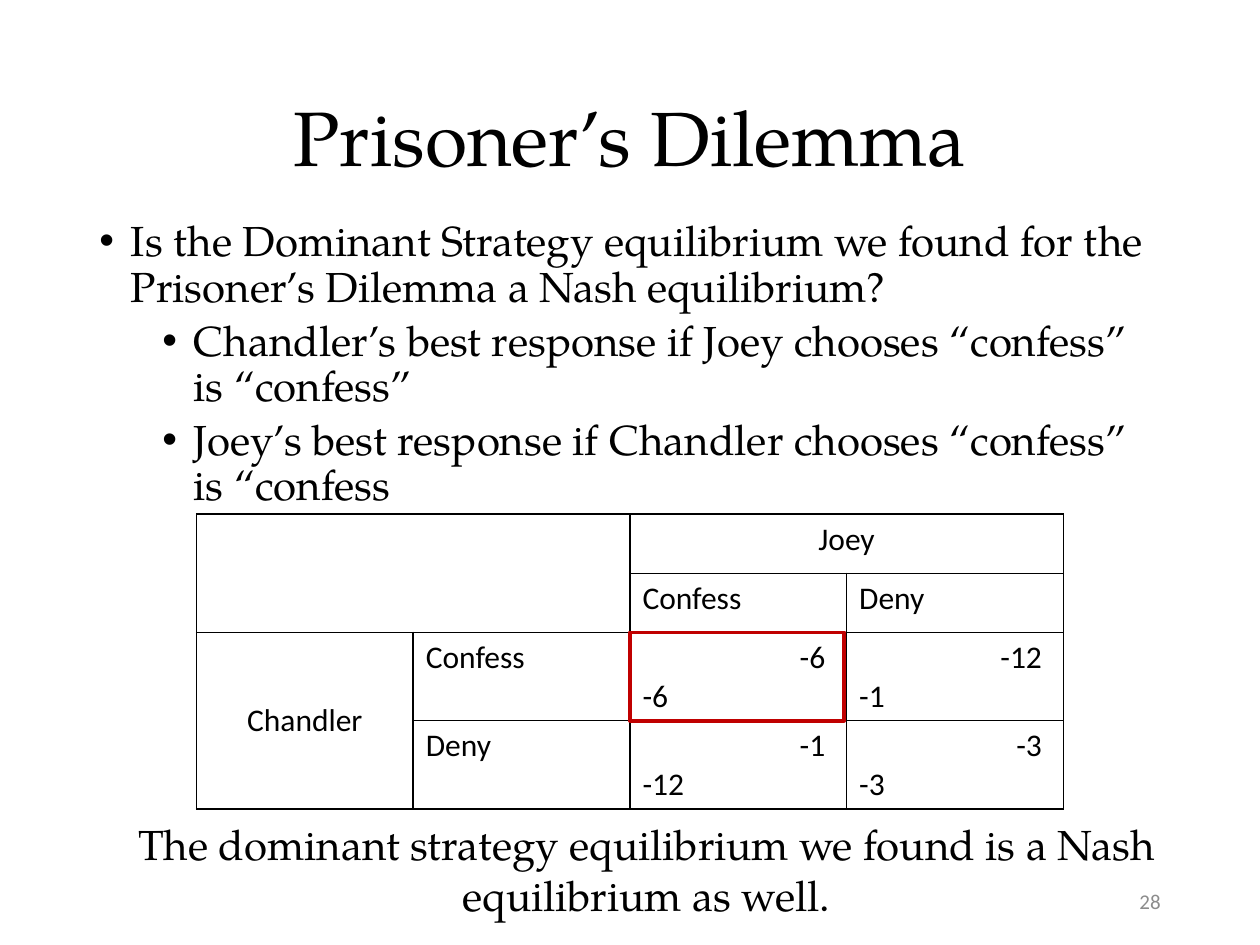
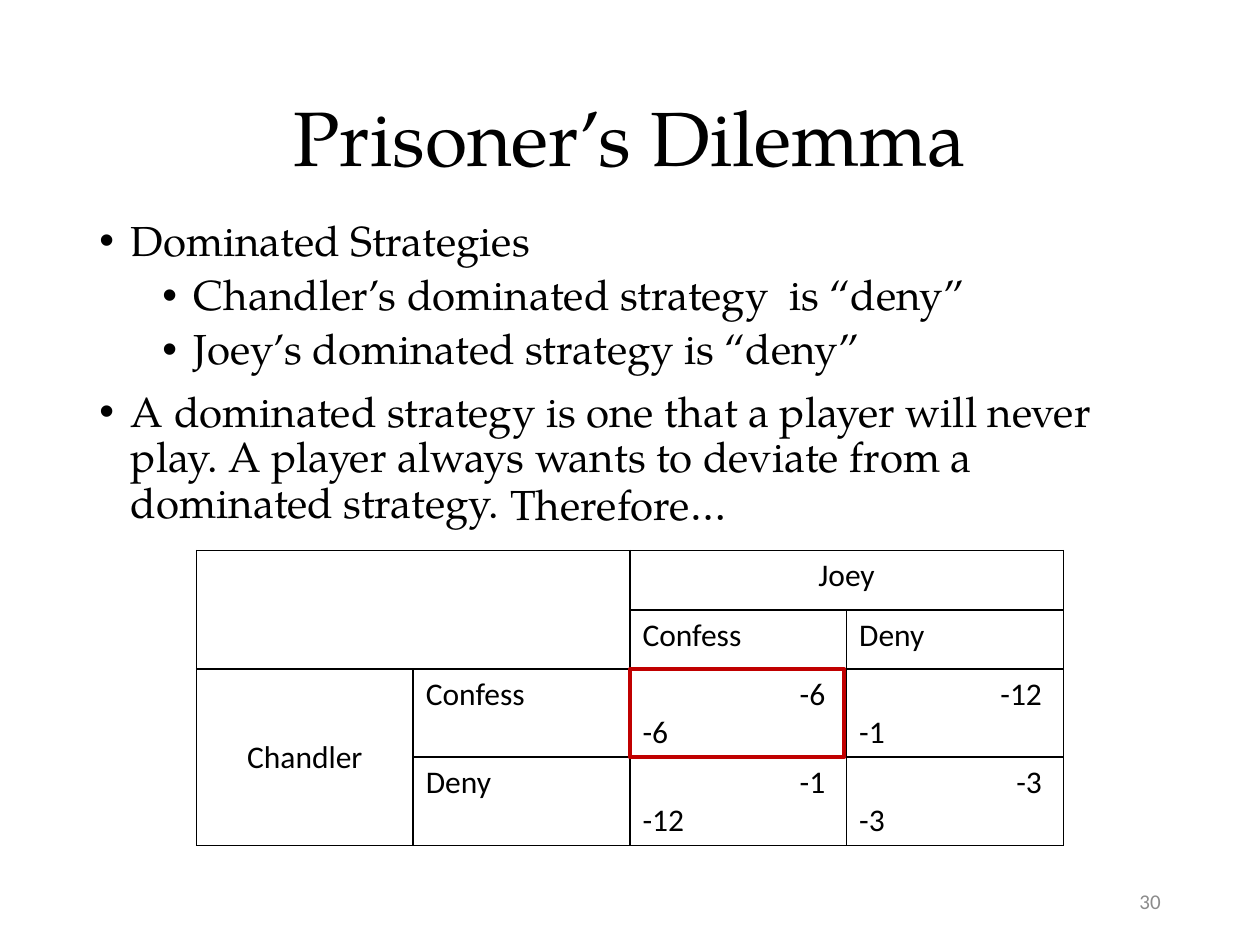
from pptx import Presentation
from pptx.dml.color import RGBColor
from pptx.enum.shapes import MSO_SHAPE as SHAPE
from pptx.enum.text import MSO_ANCHOR as ANCHOR, PP_ALIGN as ALIGN
from pptx.oxml.ns import qn
from pptx.util import Inches, Pt
from lxml.etree import SubElement

SERIF = "TeX Gyre Pagella"
SANS = "Calibri"
BLACK, RED, GREY = "000000", "C00000", "8C8C8C"
COL_WIDTH = 1.72
ROW_HEIGHTS = [0.47, 0.47, 0.67, 0.67]
MERGES = [((0, 0), (1, 1)), ((0, 2), (0, 3)), ((2, 0), (3, 0))]
LABELS = {
    (0, 2): "Joey",
    (1, 2): "Confess",
    (1, 3): "Deny",
    (2, 0): "Chandler",
    (2, 1): "Confess",
    (3, 1): "Deny",
}
PAYOFFS = {
    (2, 2): ("-6", "-6"),
    (2, 3): ("-12", "-1"),
    (3, 2): ("-1", "-12"),
    (3, 3): ("-3", "-3"),
}


def color(value):
    return RGBColor.from_string(value)


class Deck:
    def __init__(self):
        self.prs = Presentation()
        self.prs.slide_width = Inches(10)
        self.prs.slide_height = Inches(7.5)
        self.s = None

    def slide(self, number):
        self.s = self.prs.slides.add_slide(self.prs.slide_layouts[6])
        self.text("Prisoner’s Dilemma", (0.69, 0.4, 8.62, 1.45), size=44,
                  align=ALIGN.CENTER, anchor=ANCHOR.MIDDLE, line_spacing=0.9)
        self.text(number, (7.06, 6.95, 2.25, 0.4), size=12, font=SANS,
                  fill=GREY, align=ALIGN.RIGHT, anchor=ANCHOR.MIDDLE)

    def frame(self, box, anchor=ANCHOR.TOP):
        tf = self.s.shapes.add_textbox(*map(Inches, box)).text_frame
        tf.word_wrap = True
        tf.vertical_anchor = anchor
        return tf

    def add_text(self, p, text, size=24, font=SERIF, fill=BLACK, **formats):
        r = p.add_run()
        r.text = text
        r.font.color.rgb = color(fill)
        for name, value in {"size": Pt(size), "name": font}.items():
            setattr(r.font, name, value)
        for name, value in formats.items():
            setattr(p, name, value)

    def text(self, text, box, align=ALIGN.LEFT, anchor=ANCHOR.TOP, **formats):
        tf = self.frame(box, anchor)
        self.add_text(tf.paragraphs[0], text, alignment=align, **formats)

    def bullets(self, items):
        tf = self.frame((0.69, 1.7, 8.62, 4.76))
        for i, (level, text) in enumerate(items):
            p = tf.add_paragraph() if i else tf.paragraphs[0]
            pPr = p._p.get_or_add_pPr()
            pPr.set("marL", str(Inches(0.25 + 0.5 * level)))
            pPr.set("indent", str(Inches(-0.25)))
            SubElement(pPr, qn("a:buFont"), typeface="Arial")
            SubElement(pPr, qn("a:buChar"), char="•")
            before = (5 if level else 10) if i else 0
            self.add_text(p, text, level=level, line_spacing=0.9,
                          space_before=Pt(before))

    def border(self, cell):
        tcPr = cell._tc.get_or_add_tcPr()
        for side in "LRTB":
            ln = SubElement(tcPr, qn(f"a:ln{side}"), w=str(Pt(1)))
            fill = SubElement(ln, qn("a:solidFill"))
            SubElement(fill, qn("a:srgbClr"), val=BLACK)
        cell.fill.background()

    def payoff_table(self, top):
        left, rows, cols = 1.56, len(ROW_HEIGHTS), 4
        box = (left, top, cols * COL_WIDTH, sum(ROW_HEIGHTS))
        table = self.s.shapes.add_table(rows, cols, *map(Inches, box)).table
        table.first_row = table.horz_banding = False
        for col in table.columns:
            col.width = Inches(COL_WIDTH)
        for row, height in zip(table.rows, ROW_HEIGHTS):
            row.height = Inches(height)
        for cell in table.iter_cells():
            self.border(cell)
        for first, last in MERGES:
            table.cell(*first).merge(table.cell(*last))
        for place, label in LABELS.items():
            cell = table.cell(*place)
            player = cell.is_merge_origin
            if cell.span_height > 1:
                cell.vertical_anchor = ANCHOR.MIDDLE
            self.add_text(cell.text_frame.paragraphs[0], label, 18, SANS,
                          alignment=ALIGN.CENTER if player else ALIGN.LEFT)
        for place, (joey, chandler) in PAYOFFS.items():
            cell = table.cell(*place)
            cell.margin_right = Inches(0.17)
            tf = cell.text_frame
            self.add_text(tf.paragraphs[0], joey, 18, SANS, alignment=ALIGN.RIGHT)
            self.add_text(tf.add_paragraph(), chandler, 18, SANS)
        self.outline((left + 2 * COL_WIDTH, top + sum(ROW_HEIGHTS[:2]), 1.7, 0.7))

    def outline(self, box):
        sp = self.s.shapes.add_shape(SHAPE.RECTANGLE, *map(Inches, box))
        sp.shadow.inherit = False
        sp.fill.background()
        sp.line.color.rgb = color(RED)
        sp.line.width = Pt(2.25)


def main():
    deck = Deck()

    deck.slide("28")
    deck.bullets([
        (0, "Is the Dominant Strategy equilibrium we found for the Prisoner’s Dilemma a Nash equilibrium?"),
        (1, "Chandler’s best response if Joey chooses “confess” is “confess”"),
        (1, "Joey’s best response if Chandler chooses “confess” is “confess"),
    ])
    deck.payoff_table(4.08)
    deck.text("The dominant strategy equilibrium we found is a Nash equilibrium as well.",
              (0.26, 6.45, 9.74, 0.91), align=ALIGN.CENTER)

    deck.slide("30")
    deck.bullets([
        (0, "Dominated Strategies"),
        (1, "Chandler’s dominated strategy  is “deny”"),
        (1, "Joey’s dominated strategy is “deny”"),
        (0, "A dominated strategy is one that a player will never play. "
            "A player always wants to deviate from a dominated strategy."),
    ])
    deck.payoff_table(4.37)
    deck.text("Therefore…", (3.95, 3.75, 2.48, 0.5))

    deck.prs.save("out.pptx")


if __name__ == "__main__":
    main()
